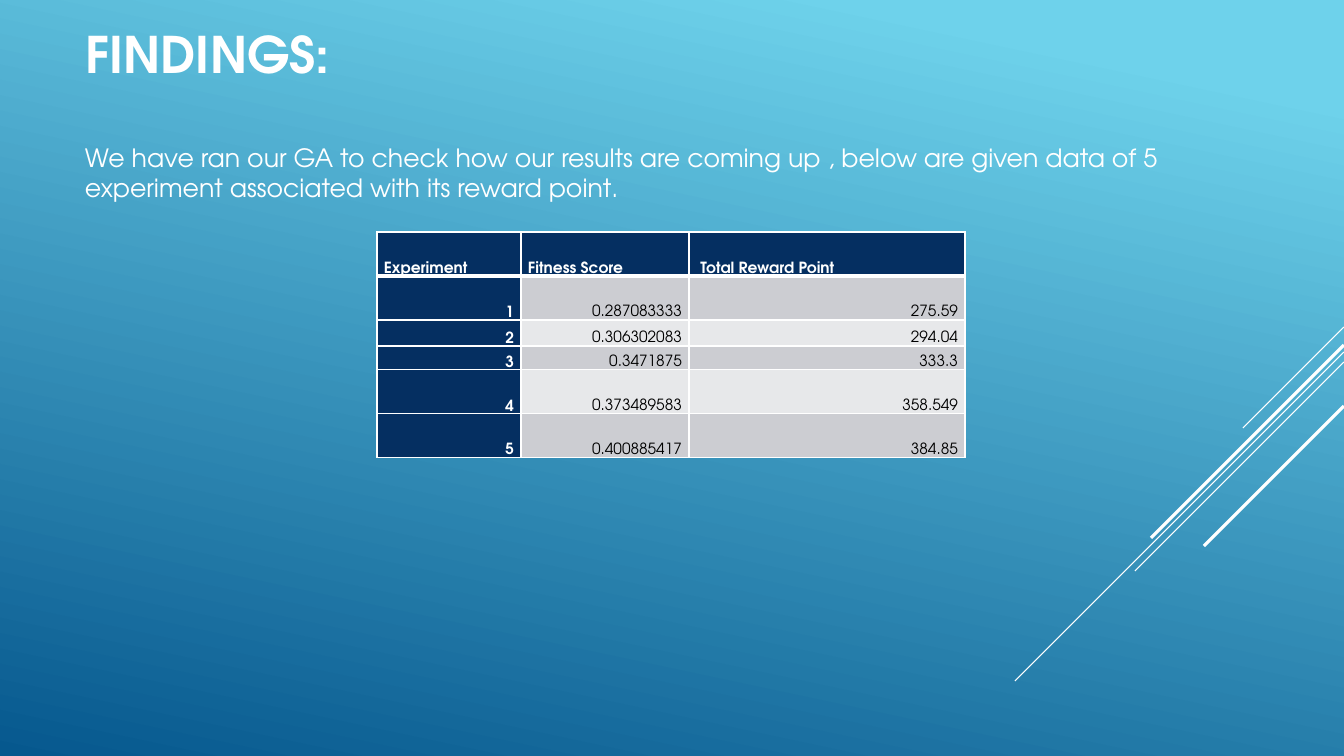
from lxml import etree
from pptx import Presentation
from pptx.dml.color import RGBColor
from pptx.enum.shapes import MSO_CONNECTOR
from pptx.enum.text import MSO_ANCHOR, PP_ALIGN
from pptx.oxml.ns import qn
from pptx.util import Pt

LEFT, RIGHT = PP_ALIGN.LEFT, PP_ALIGN.RIGHT
TOP, MIDDLE, BOTTOM = MSO_ANCHOR.TOP, MSO_ANCHOR.MIDDLE, MSO_ANCHOR.BOTTOM
STRAIGHT = MSO_CONNECTOR.STRAIGHT

TITLE = "FINDINGS:"
INTRO = ("We have ran our GA to check how our results are coming up , below are "
         "given data of 5 experiment associated with its reward point.")
HEAD = ("Experiment", "Fitness Score", " Total Reward Point")
DATA = [
    ("1", "0.287083333", "275.59"),
    ("2", "0.306302083", "294.04"),
    ("3", "0.3471875", "333.3"),
    ("4", "0.373489583", "358.549"),
    ("5", "0.400885417", "384.85"),
]

THEME = {
    "font": "TeX Gyre Adventor",
    "white": "FFFFFF", "black": "000000", "navy": "052F61",
    "bands": ("CCCDD2", "E7E8EA"),
    "sky": ((0.1, "6ED2EB"), (1, "06588E")), "angle": 102,
    "title": 36, "body": 18, "cell": 11,
    "thin": 0.75, "thick": 2.25, "rule": 1, "bold rule": 3,
}

# Lengths in pixels
WIDE, HIGH = 1344, 756
TITLE_BOX = (75, 0, 941, 166)
INTRO_BOX = (75, 137, 1193, 72)
TABLE_AT = (377, 232)
COLS = (144, 168, 276)
ROWS = (44, 44, 26, 24, 44, 44)
# Diagonals from the right edge: start height, run, weight
RAYS = [(327, 101, "thin"), (352, 329, "thin"), (362, 209, "thin"),
        (345, 193, "thick"), (406, 140, "thick")]


def px(*vals):
    """Turn pixels into a list of EMU."""
    return [round(val * 914400 / 100.8) for val in vals]


def rgb(name):
    """Give the colour for a theme name or a hex code."""
    return RGBColor.from_string(THEME.get(name, name))


def write(frame, text, size="body", color="white", bold=False, align=LEFT,
          anchor=TOP, space=None):
    """Put one formatted paragraph into a text frame."""
    frame.word_wrap = True
    frame.vertical_anchor = anchor
    para = frame.paragraphs[0]
    para.alignment = align
    para.line_spacing = space
    run = para.add_run()
    run.text = text
    font = run.font
    font.name, font.size, font.bold = THEME["font"], Pt(THEME[size]), bold
    font.color.rgb = rgb(color)


def edge(cell, side, weight):
    """Draw one white border of a cell."""
    props = cell._tc.get_or_add_tcPr()
    line = etree.SubElement(props, qn("a:ln" + side), w=str(Pt(THEME[weight])))
    fill = etree.SubElement(line, qn("a:solidFill"))
    etree.SubElement(fill, qn("a:srgbClr"), val=THEME["white"])


def paint(slide):
    """Fill the background with the gradient."""
    fill = slide.background.fill
    fill.gradient()
    fill.gradient_angle = 360 - THEME["angle"]
    for stop, (pos, color) in zip(fill.gradient_stops, THEME["sky"]):
        stop.position = pos
        stop.color.rgb = rgb(color)


def add_rays(slide):
    """Draw the diagonals, all at 45 degrees."""
    for y, run, weight in RAYS:
        ray = slide.shapes.add_connector(
            STRAIGHT, *px(WIDE, y, WIDE - run, y + run))
        ray.line.color.rgb = rgb("white")
        ray.line.width = Pt(THEME[weight])
        etree.SubElement(ray._element.spPr, qn("a:effectLst"))


def add_title(slide):
    """Place the title in the upper part of its box."""
    title = slide.shapes.title
    title.left, title.top, title.width, title.height = px(*TITLE_BOX)
    write(title.text_frame, TITLE, size="title", bold=True, anchor=MIDDLE)
    title.text_frame.margin_bottom = px(65)[0]


def add_grid(slide):
    """Build the table of results."""
    grid = slide.shapes.add_table(
        len(ROWS), len(COLS), *px(*TABLE_AT, sum(COLS), sum(ROWS))).table
    for col, width in zip(grid.columns, px(*COLS)):
        col.width = width
    for row, height in zip(grid.rows, px(*ROWS)):
        row.height = height
    for r, row in enumerate([HEAD, *DATA]):
        for c, text in enumerate(row):
            cell = grid.cell(r, c)
            dark = r == 0 or c == 0
            cell.margin_left = cell.margin_right = px(7)[0]
            cell.margin_top = cell.margin_bottom = 0
            cell.vertical_anchor = BOTTOM
            for side in "LRTB":
                bold = (r, side) in ((0, "B"), (1, "T"))
                edge(cell, side, "bold rule" if bold else "rule")
            cell.fill.solid()
            cell.fill.fore_color.rgb = rgb(
                "navy" if dark else THEME["bands"][(r - 1) % 2])
            write(cell.text_frame, text, size="cell", bold=dark,
                  color="white" if dark else "black", anchor=BOTTOM,
                  align=RIGHT if r else LEFT, space=1.07)


def main():
    """Build and save the slide."""
    deck = Presentation()
    deck.slide_width, deck.slide_height = px(WIDE, HIGH)
    slide = deck.slides.add_slide(deck.slide_layouts.get_by_name("Title Only"))
    paint(slide)
    add_rays(slide)
    add_title(slide)
    add_grid(slide)
    write(slide.shapes.add_textbox(*px(*INTRO_BOX)).text_frame, INTRO)
    deck.save("out.pptx")


main()
